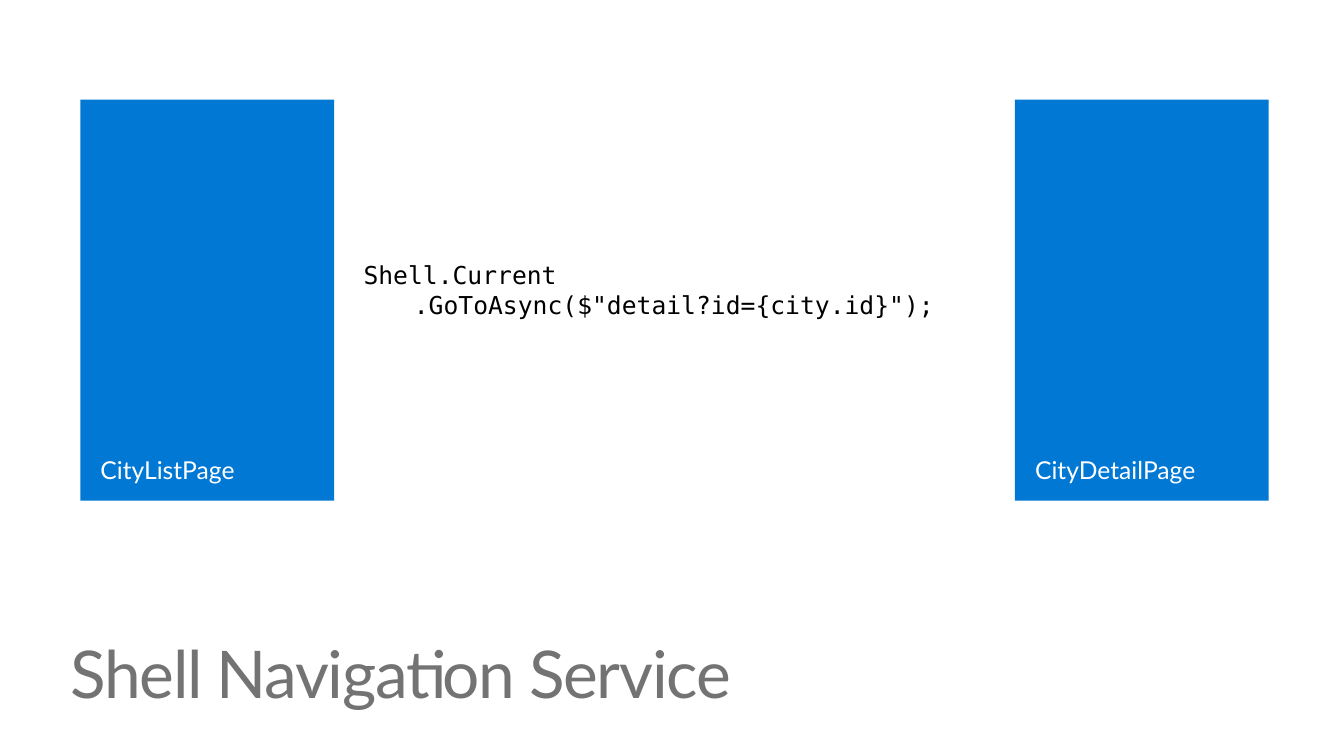
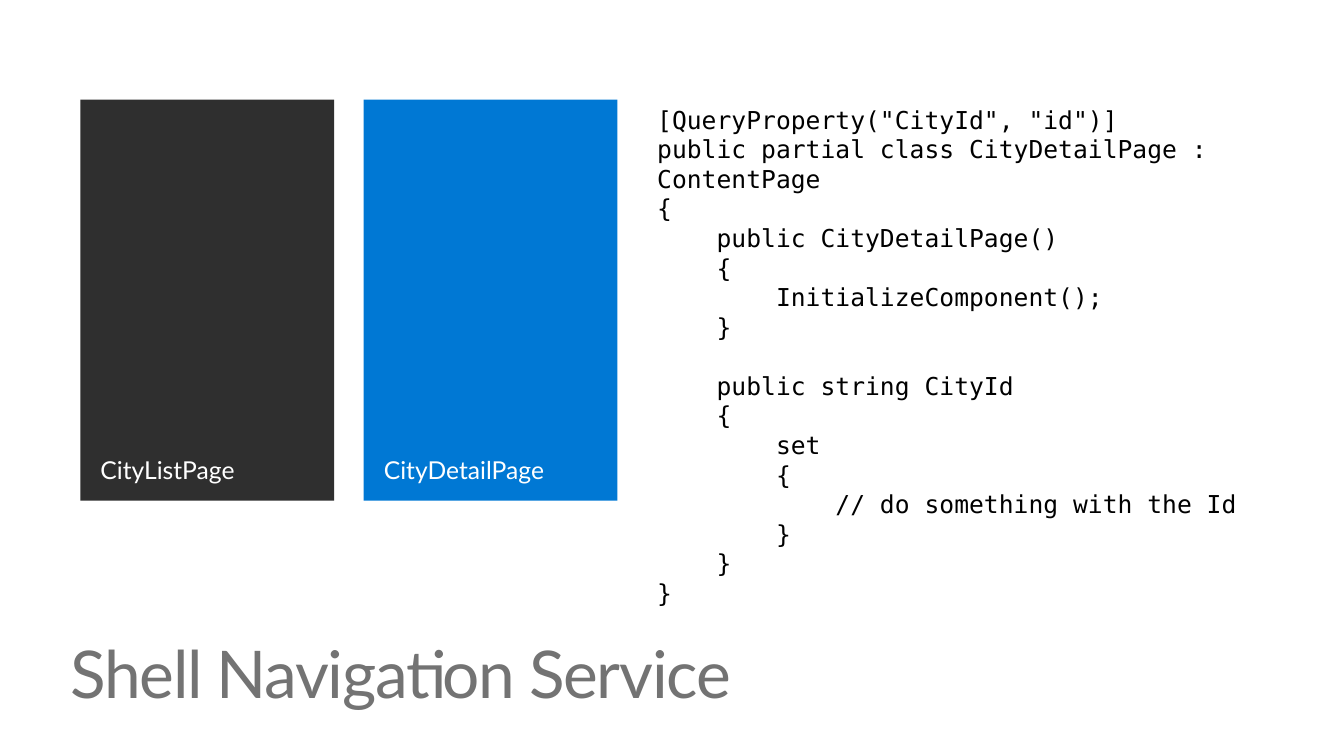
from pptx import Presentation
from pptx.dml.color import RGBColor
from pptx.enum import shapes, text
from pptx.util import Pt

BLUE, DARK, GREY, WHITE, BLACK = "0078D4", "2F2F2F", "737373", "FFFFFF", "000000"
SANS, MONO = "Lato", "DejaVu Sans Mono"
BODY_SIZE = 17.6
TITLE = "Shell Navigation Service"
CARD_TOP, CARD_WIDTH, CARD_HEIGHT = 71.2, 181.3, 286.5
CODE_WIDTH = 453.6

SLIDES = [
    {
        "code": ["Shell.Current", '\t.GoToAsync($"detail?id={city.id}");'],
        "code_at": (252.6, 182.2, 51),
        "cards": [("CityListPage", 57.4, BLUE), ("CityDetailPage", 725, BLUE)],
    },
    {
        "code": [
            '[QueryProperty("CityId", "id")]',
            "public partial class CityDetailPage : ContentPage",
            "{",
            "    public CityDetailPage()",
            "    {",
            "        InitializeComponent();",
            "    }",
            "",
            "    public string CityId",
            "    {",
            "        set",
            "        {",
            "            // do something with the Id",
            "        }",
            "    }",
            "}",
        ],
        "code_at": (462.4, 71.2, 378),
        "cards": [("CityListPage", 57.4, DARK), ("CityDetailPage", 259.8, BLUE)],
    },
]


def color(value):
    return RGBColor.from_string(value)


def write(frame, lines, font, size, ink, spacing=1.0):
    for index, line in enumerate(lines):
        para = frame.paragraphs[0] if index == 0 else frame.add_paragraph()
        para.alignment = text.PP_ALIGN.LEFT
        para.line_spacing = spacing
        span = para.add_run()
        span.text = line
        span.font.name = font
        span.font.size = Pt(size)
        span.font.color.rgb = color(ink)


def add_title(page):
    title = page.shapes.title
    title.left, title.top, title.width, title.height = Pt(43.2), Pt(455), Pt(872.6), Pt(56.2)
    frame = title.text_frame
    frame.vertical_anchor = text.MSO_ANCHOR.TOP
    frame.auto_size = text.MSO_AUTO_SIZE.NONE
    write(frame, [TITLE], SANS, 47, GREY, 0.9)
    frame.paragraphs[0].runs[0].font._element.set("spc", "-100")


def add_code(page, lines, left, top, height):
    box = page.shapes.add_textbox(Pt(left), Pt(top), Pt(CODE_WIDTH), Pt(height))
    frame = box.text_frame
    frame.word_wrap = True
    frame.auto_size = text.MSO_AUTO_SIZE.SHAPE_TO_FIT_TEXT
    write(frame, lines, MONO, BODY_SIZE, BLACK)


def add_card(page, label, left, fill):
    card = page.shapes.add_shape(
        shapes.MSO_SHAPE.RECTANGLE, Pt(left), Pt(CARD_TOP), Pt(CARD_WIDTH), Pt(CARD_HEIGHT)
    )
    card.shadow.inherit = False
    card.fill.solid()
    card.fill.fore_color.rgb = color(fill)
    card.line.fill.background()
    frame = card.text_frame
    frame.word_wrap = True
    frame.vertical_anchor = text.MSO_ANCHOR.BOTTOM
    frame.margin_left = frame.margin_right = Pt(14.4)
    frame.margin_top = frame.margin_bottom = Pt(11.5)
    write(frame, [label], SANS, BODY_SIZE, WHITE, 0.9)


def main():
    deck = Presentation()
    deck.slide_width, deck.slide_height = Pt(960), Pt(540)
    for content in SLIDES:
        page = deck.slides.add_slide(deck.slide_layouts[5])
        add_title(page)
        add_code(page, content["code"], *content["code_at"])
        for card in content["cards"]:
            add_card(page, *card)
    deck.save("out.pptx")


if __name__ == "__main__":
    main()
